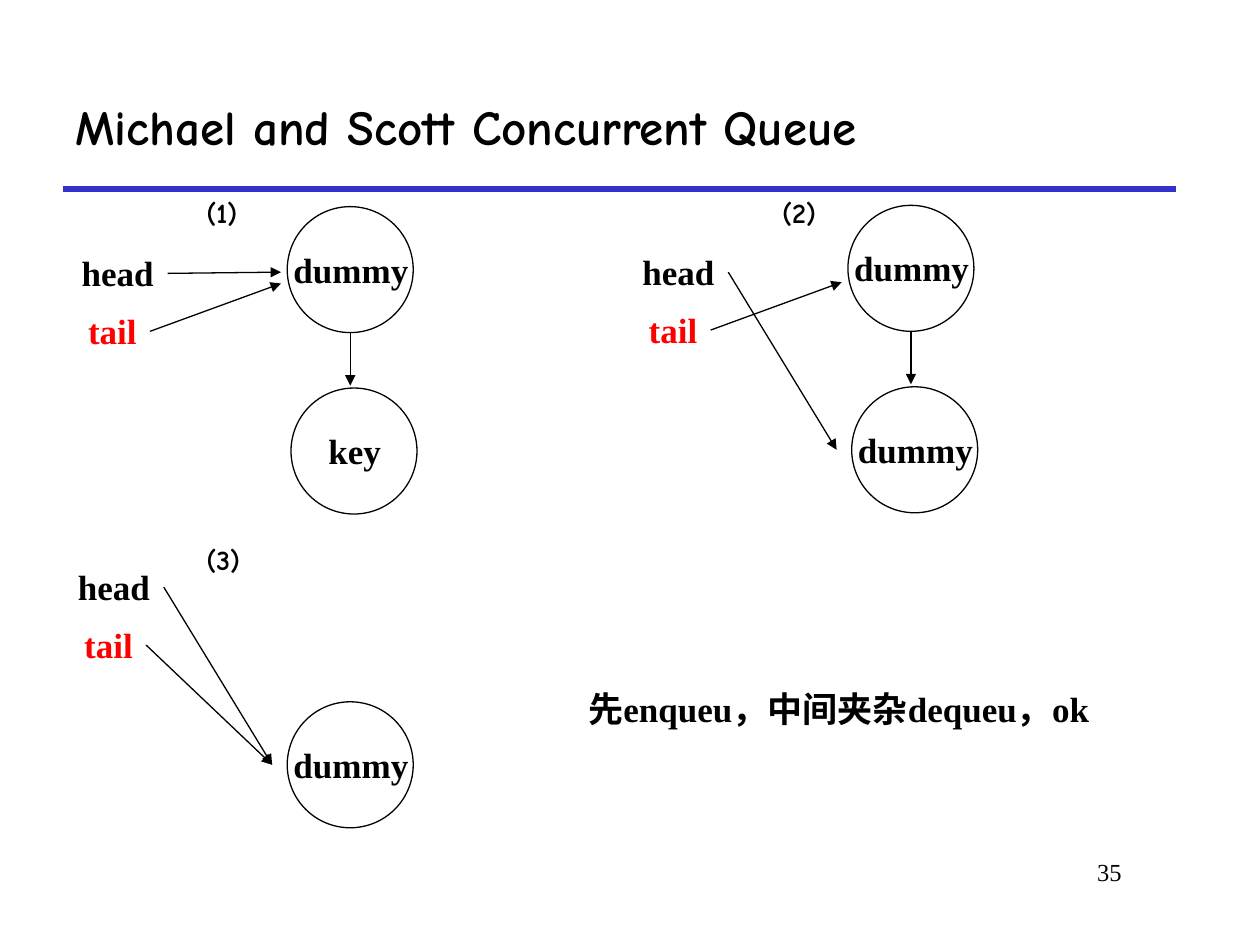
from lxml import etree
from pptx import Presentation
from pptx.dml.color import RGBColor
from pptx.enum.shapes import MSO_CONNECTOR, MSO_SHAPE
from pptx.enum.text import MSO_ANCHOR, PP_ALIGN
from pptx.oxml.ns import qn
from pptx.util import Inches, Pt

LINE, OVAL = MSO_CONNECTOR.STRAIGHT, MSO_SHAPE.OVAL
MID, TOP = MSO_ANCHOR.MIDDLE, MSO_ANCHOR.TOP
LEFT, MIDDLE, RIGHT = PP_ALIGN.LEFT, PP_ALIGN.CENTER, PP_ALIGN.RIGHT
SERIF, COMIC = "Times New Roman", "Comic Neue"
INK = {name: RGBColor.from_string(code) for name, code in
       {"black": "000000", "red": "FF0000", "blue": "3333CC"}.items()}

deck = Presentation()
deck.slide_width, deck.slide_height = Inches(10), Inches(7.5)
COL, ROW = deck.slide_width / 100, deck.slide_height / 75  # grid of 100 by 75
slide = deck.slides.add_slide(deck.slide_layouts[6])


def write(host, words, x, y, w, h, size=20, font=SERIF, ink="black",
          bold=True, align=LEFT, anchor=TOP, wrap=True):
    """Place a text box; x and w in columns, y and h in rows."""
    box = host.add_textbox(int(x * COL), int(y * ROW), int(w * COL), int(h * ROW))
    frame = box.text_frame
    frame.word_wrap, frame.vertical_anchor = wrap, anchor
    para = frame.paragraphs[0]
    para.text, para.alignment = words, align
    para.font.name, para.font.size = font, Pt(size)
    para.font.bold, para.font.color.rgb = bold, INK[ink]


def link(host, x1, y1, x2, y2, ink="black", width=0.75, arrow=True):
    """Draw a line, by default with an arrowhead at its far end."""
    rule = host.add_connector(LINE, int(x1 * COL), int(y1 * ROW),
                              int(x2 * COL), int(y2 * ROW))
    rule.line.color.rgb, rule.line.width = INK[ink], Pt(width)
    if arrow:
        etree.SubElement(rule.line._get_or_add_ln(), qn("a:tailEnd"), type="triangle")
    etree.SubElement(rule._element.spPr, qn("a:effectLst"))


link(slide.shapes, 5, 15, 93.3, 15, "blue", 3, False)
write(slide.shapes, "35", 75.8, 67.5, 14.2, 5, 14, bold=False, align=RIGHT)
write(slide.shapes, "Michael and Scott Concurrent Queue", 5, 5, 88.3, 10, 28,
      COMIC, anchor=MID)

# Node places and arrow targets, measured from the corner of the "head" label
UPPER, LOWER = (17.3, -3.1), (17.6, 11.3)
HIGH, NEAR, DEEP = (16.8, 2.1), (16.8, 3), (16.4, 16.3)

# Corner of "head", nodes, target of head, target of tail
queues = [
    (5.5, 19.5, [("dummy", UPPER), ("key", LOWER)], HIGH, NEAR),
    (50, 19.4, [("dummy", UPPER), ("dummy", LOWER)], DEEP, NEAR),
    (5.2, 44.4, [("dummy", LOWER)], DEEP, DEEP),
]
for x, y, nodes, head, tail in queues:
    group = slide.shapes.add_group_shape().shapes
    for name, (dx, dy) in nodes:
        node = group.add_shape(OVAL, int((x + dx) * COL), int((y + dy) * ROW),
                               int(10 * COL), int(10 * ROW))
        node.shadow.inherit = False
        node.fill.background()
        node.line.color.rgb, node.line.width = INK["black"], Pt(0.75)
        write(group, name, x + dx - 1.2, y + dy + 2.8, 12.5, 4.4, align=MIDDLE)
    if len(nodes) > 1:
        link(group, x + 22.3, y + 6.9, x + 22.3, y + 11.1)
    write(group, "tail", x + 0.5, y + 4.6, 5.9, 4.4, ink="red")
    link(group, x + 6.4, y + 6.8, x + tail[0], y + tail[1])
    write(group, "head", x, y, 7.8, 4.4, wrap=False)
    link(group, x + 7.8, y + 2.2, x + head[0], y + head[1])

write(slide.shapes, "先enqueu，中间夹杂dequeu，ok", 45.7, 54.1, 43.1, 4.4)
for step, x, y in [("(1)", 15.4, 15), ("(2)", 61.1, 15), ("(3)", 15.4, 42.6)]:
    write(slide.shapes, step, x, y, 4.9, 3.7, 16, COMIC, wrap=False)

deck.save("out.pptx")
